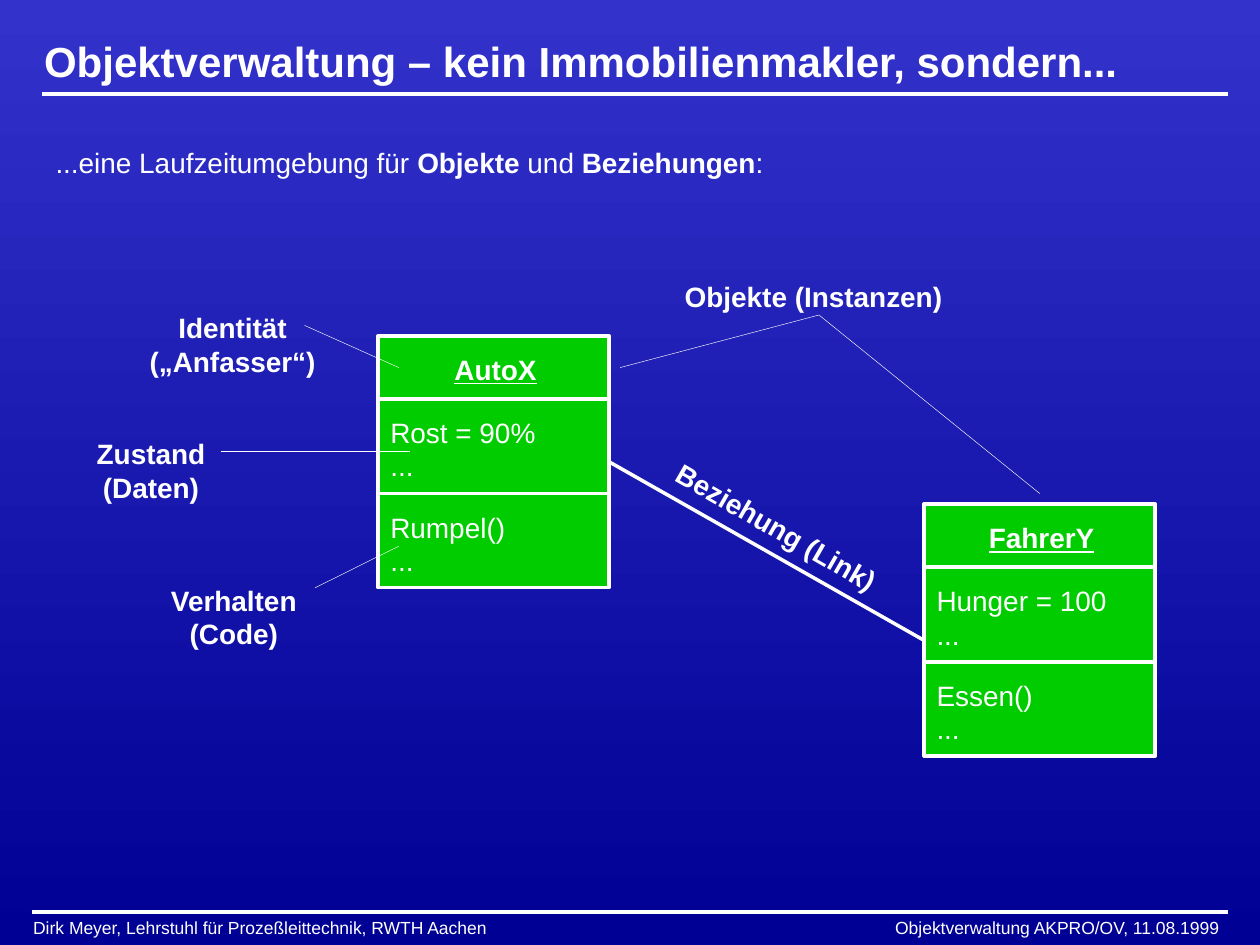
import pptx
import pptx.dml.color
import pptx.enum.shapes
import pptx.enum.text
import pptx.oxml
import pptx.util
from pptx.util import Cm

WHITE = pptx.dml.color.RGBColor(0xFF, 0xFF, 0xFF)
GREEN = pptx.dml.color.RGBColor(0x00, 0xCC, 0x00)
BLUE_TOP = pptx.dml.color.RGBColor(0x33, 0x33, 0xCC)
BLUE_BOTTOM = pptx.dml.color.RGBColor(0x00, 0x00, 0x94)
LEFT = pptx.enum.text.PP_ALIGN.LEFT
CENTER = pptx.enum.text.PP_ALIGN.CENTER
RIGHT = pptx.enum.text.PP_ALIGN.RIGHT

deck = pptx.Presentation()
deck.slide_width = Cm(25.4)
deck.slide_height = Cm(19.05)
page = deck.slides.add_slide(deck.slide_layouts[6])

backdrop = page.background.fill
backdrop.gradient()
backdrop.gradient_angle = 270
for stop, color in zip(backdrop.gradient_stops, (BLUE_TOP, BLUE_BOTTOM)):
    stop.color.rgb = color


def add_text(left, top, width, height, lines, size=16, align=LEFT, underline=None):
    box = page.shapes.add_textbox(Cm(left), Cm(top), Cm(width), Cm(height))
    frame = box.text_frame
    frame.word_wrap = False
    frame.auto_size = pptx.enum.text.MSO_AUTO_SIZE.SHAPE_TO_FIT_TEXT
    for index, line in enumerate(lines):
        para = frame.paragraphs[0] if index == 0 else frame.add_paragraph()
        para.alignment = align
        for text, bold in line:
            span = para.add_run()
            span.text = text
            span.font.name = "Arial"
            span.font.size = pptx.util.Pt(size)
            span.font.bold = bold
            span.font.underline = underline
            span.font.color.rgb = WHITE
    return box


def add_line(start_x, start_y, end_x, end_y, weight=2):
    line = page.shapes.add_connector(
        pptx.enum.shapes.MSO_CONNECTOR.STRAIGHT,
        Cm(start_x), Cm(start_y), Cm(end_x), Cm(end_y))
    line.line.color.rgb = WHITE
    line.line.width = pptx.util.Pt(weight)
    properties = line._element.spPr
    properties.append(pptx.oxml.parse_xml(
        '<a:effectLst xmlns:a="http://schemas.openxmlformats.org/drawingml/2006/main"/>'))


add_line(0.85, 1.89, 24.76, 1.89)
add_line(0.64, 18.39, 24.76, 18.39)
footers = [
    (0.42, "Dirk Meyer, Lehrstuhl für Prozeßleittechnik, RWTH Aachen", LEFT),
    (14.82, "Objektverwaltung AKPRO/OV, 11.08.1999", RIGHT),
]
for left, text, align in footers:
    footer = add_text(left, 18.36, 10, 0.69, [[(text, False)]], 10, align)
    footer.text_frame.word_wrap = True

title = add_text(0.64, 0.61, 24.13, 1.22,
                 [[("Objektverwaltung – kein Immobilienmakler, sondern...", True)]], 24)
title.text_frame.word_wrap = True
title.text_frame.auto_size = pptx.enum.text.MSO_AUTO_SIZE.NONE
title.text_frame.vertical_anchor = pptx.enum.text.MSO_ANCHOR.MIDDLE

add_text(0.87, 2.81, 14.8, 0.94, [[
    ("...eine Laufzeitumgebung für ", False), ("Objekte", True),
    (" und ", False), ("Beziehungen", True), (":", False)]])

labels = [
    (2.76, 6.14, 3.86, 1.63, ["Identität", "(„Anfasser“)"]),
    (1.7, 8.68, 2.69, 1.63, ["Zustand", "(Daten)"]),
    (3.18, 11.63, 3.07, 1.63, ["Verhalten", "(Code)"]),
    (13.5, 5.51, 5.8, 0.94, ["Objekte (Instanzen)"]),
]
for left, top, width, height, words in labels:
    add_text(left, top, width, height, [[(word, True)] for word in words], align=CENTER)

CARD_WIDTH, CARD_HEIGHT = 4.66, 5.08
cards = [
    (18.63, 10.16, "FahrerY", 2.64, "Hunger = 100", 3.94, "Essen()", 2.44),
    (7.62, 6.77, "AutoX", 2.16, "Rost = 90%", 3.43, "Rumpel()", 2.82),
]
for left, top, name, name_width, state, state_width, method, method_width in cards:
    card = page.shapes.add_shape(
        pptx.enum.shapes.MSO_SHAPE.RECTANGLE,
        Cm(left), Cm(top), Cm(CARD_WIDTH), Cm(CARD_HEIGHT))
    card.shadow.inherit = False
    card.fill.solid()
    card.fill.fore_color.rgb = GREEN
    card.line.color.rgb = WHITE
    card.line.width = pptx.util.Pt(2)
    for offset in (1.27, 3.18):
        add_line(left, top + offset, left + CARD_WIDTH, top + offset)
    add_text(left + 2.37 - name_width / 2, top + 0.21, name_width, 0.94,
             [[(name, True)]], align=CENTER, underline=True)
    for offset, word, width in ((1.48, state, state_width), (3.39, method, method_width)):
        add_text(left, top + offset, width, 1.63, [[(word, False)], [("...", False)]])

link_label = add_text(13.05, 10.16, 5.2, 0.94, [[("Beziehung (Link)", True)]], align=CENTER)
link_label.rotation = 30
add_line(12.28, 9.31, 18.63, 12.91)

pointers = [
    (12.5, 7.41, 16.51, 6.35),
    (16.51, 6.35, 20.96, 9.95),
    (4.45, 9.1, 8.26, 9.1),
    (6.14, 6.56, 8.04, 7.41),
    (6.35, 11.85, 8.04, 11.01),
]
for pointer in pointers:
    add_line(*pointer, weight=0.25)

deck.save("out.pptx")
